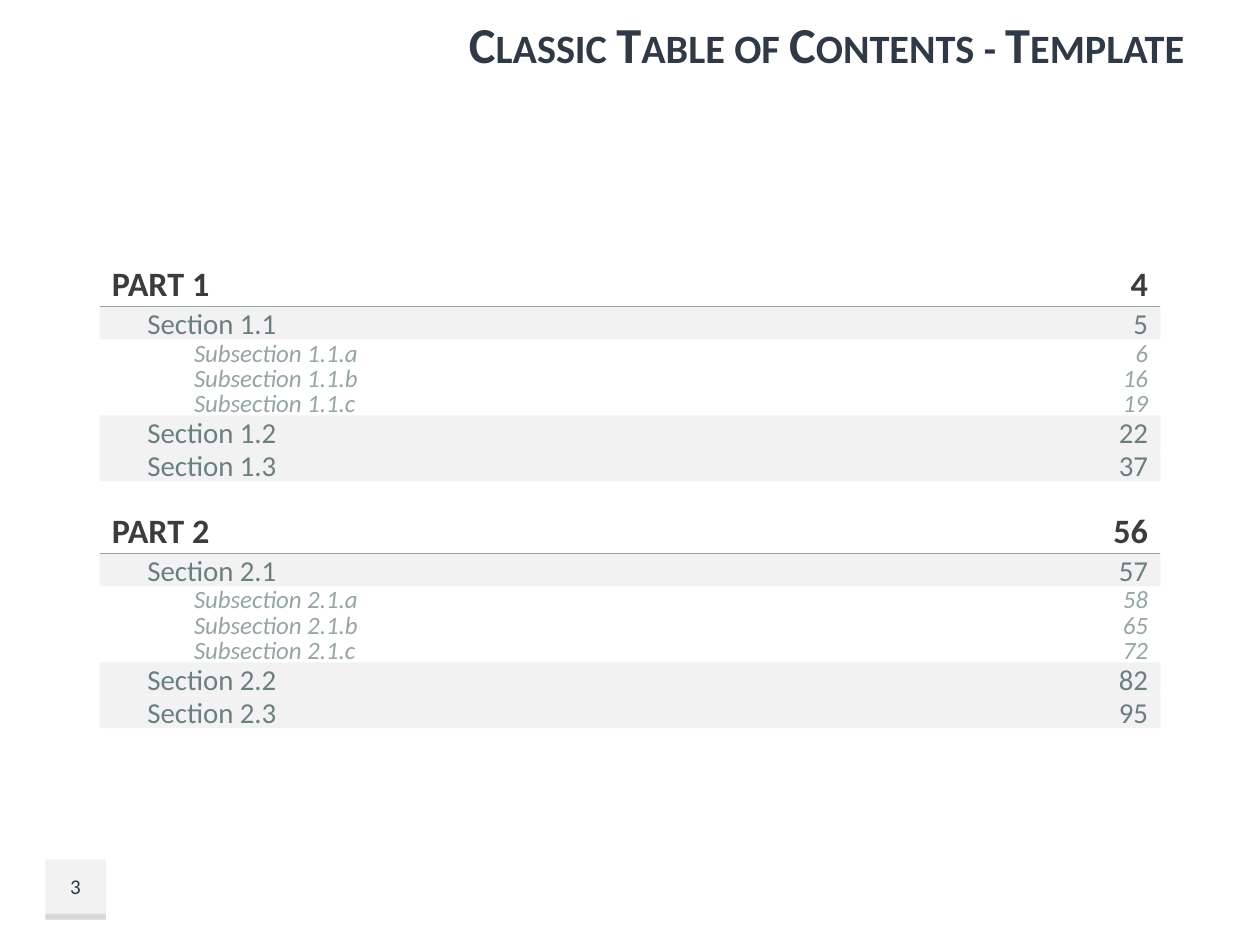
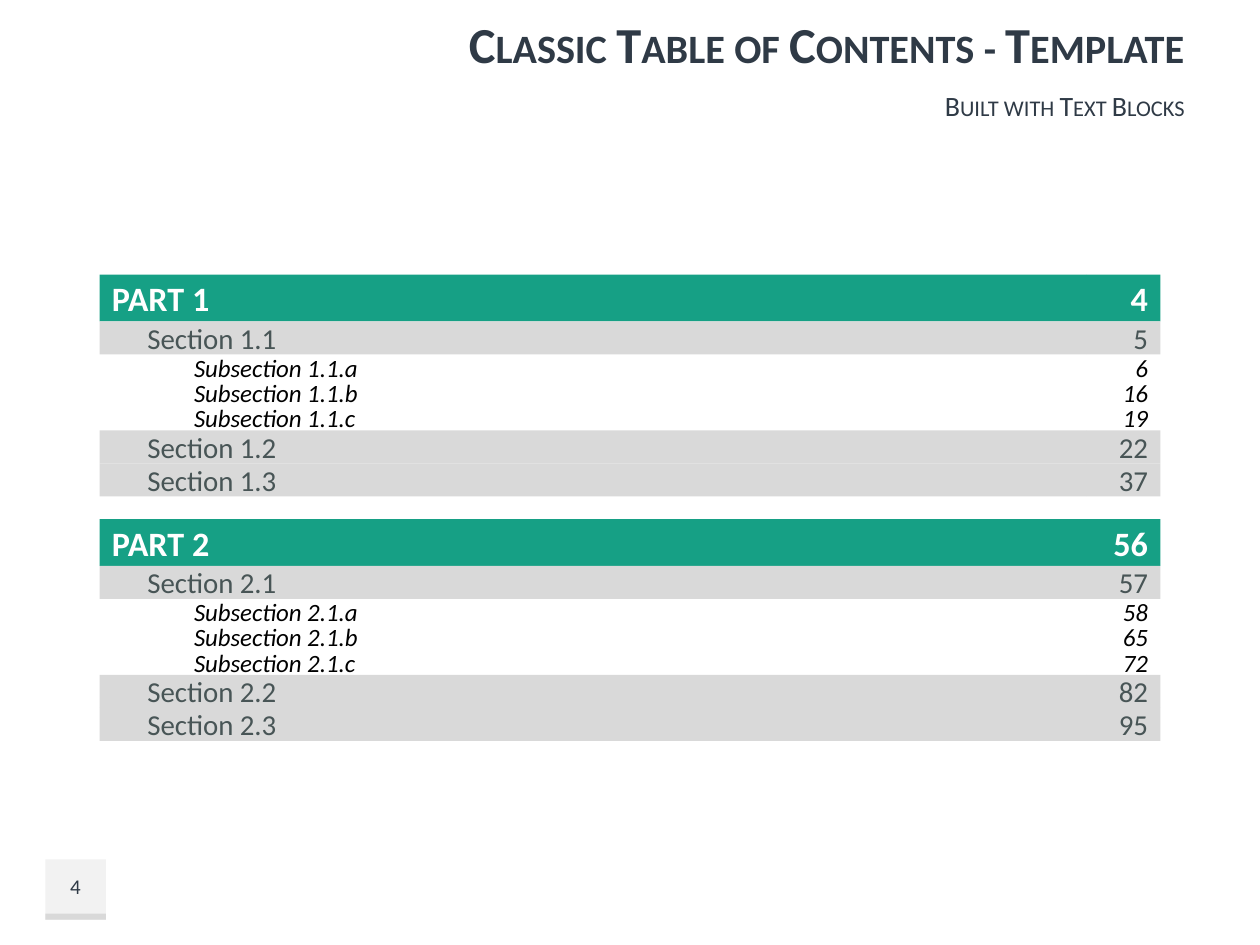
from dataclasses import dataclass
from lxml import etree
from pptx import Presentation, util as u
from pptx.dml import color
from pptx.enum import shapes, text
from pptx.oxml import ns


@dataclass(frozen=True)
class Theme:
    font: str = "Calibri"
    ink: str = "2F3A46"
    pale: str = "F2F2F2"
    grey: str = "D9D9D9"
    rule: str = "95A5A6"
    title: float = 28.8
    sub: float = 16
    page: float = 12


@dataclass(frozen=True)
class Level:
    rows: int
    inset: float
    size: float
    bold: bool = False
    slant: bool = False


@dataclass(frozen=True)
class Look:
    inks: tuple
    fills: tuple
    ruled: bool


THEME = Theme()
LEVELS = (
    Level(37, 0.1, 19.5, bold=True),
    Level(26, 0.38, 16.5),
    Level(20, 0.75, 14.2, slant=True),
)
PLAIN = Look(("3C3C3C", "6C7F80", "95A5A6"), (None, THEME.pale, None), True)
BLOCKS = Look(("FFFFFF", "485556", "000000"), ("16A085", THEME.grey, None), False)

WIDTH, HEIGHT = u.Inches(10), u.Inches(7.5)
COLS, ROWS = 100, 75
LEFT, RIGHT, MID = text.PP_ALIGN.LEFT, text.PP_ALIGN.RIGHT, text.PP_ALIGN.CENTER

TITLE = (31.9, 0, 63.1, 9.9)
BADGE = (3.6, 68.2, 4.8, 4.8)
PARTS = (
    (("PART 1", 4, 0), ("Section 1.1", 5, 1),
     ("Subsection 1.1.a", 6, 2), ("Subsection 1.1.b", 16, 2),
     ("Subsection 1.1.c", 19, 2), ("Section 1.2", 22, 1),
     ("Section 1.3", 37, 1)),
    (("PART 2", 56, 0), ("Section 2.1", 57, 1),
     ("Subsection 2.1.a", 58, 2), ("Subsection 2.1.b", 65, 2),
     ("Subsection 2.1.c", 72, 2), ("Section 2.2", 82, 1),
     ("Section 2.3", 95, 1)),
)


def grid(box):
    x, y, w, h = box
    return [round(v) for v in (x * WIDTH / COLS, y * HEIGHT / ROWS,
                               w * WIDTH / COLS, h * HEIGHT / ROWS)]


def rect(slide, box, fill):
    shape = slide.shapes.add_shape(shapes.MSO_SHAPE.RECTANGLE, *grid(box))
    shape.shadow.inherit = False
    shape.fill.solid()
    shape.fill.fore_color.rgb = color.RGBColor.from_string(fill)
    shape.line.fill.background()
    return shape


def label(slide, box, words, size, ink, align, fill=None, bold=False,
          slant=False, caps=False, inset=0.1, lead=0):
    shape = rect(slide, box, fill) if fill else slide.shapes.add_textbox(*grid(box))
    frame = shape.text_frame
    frame.word_wrap = True
    frame.auto_size = text.MSO_AUTO_SIZE.NONE
    frame.vertical_anchor = text.MSO_ANCHOR.MIDDLE
    frame.margin_left = u.Inches(inset)
    para = frame.paragraphs[0]
    para.text = words
    para.alignment = align
    if lead:
        para.space_before = u.Pt(lead)
    font = para.font
    font.name, font.size = THEME.font, u.Pt(size)
    font.bold, font.italic = bold, slant
    font.color.rgb = color.RGBColor.from_string(ink)
    if caps:
        para._p.pPr.find(ns.qn("a:defRPr")).set("cap", "small")


def rule(slide, x, y, w):
    left, top, wide, _ = grid((x, y, w, 0))
    line = slide.shapes.add_connector(shapes.MSO_CONNECTOR.STRAIGHT,
                                      left, top, left + wide, top)
    line.line.color.rgb = color.RGBColor.from_string(THEME.rule)
    line.line.width = u.Pt(0.75)
    etree.SubElement(line._element.spPr, ns.qn("a:effectLst"))


def header(slide, box, title, sub):
    x, y, w, h = box
    top = h * 0.69
    label(slide, (x, y, w, top), title, THEME.title, THEME.ink, RIGHT,
          bold=True, caps=True)
    if sub:
        label(slide, (x, y + top, w, h - top), sub, THEME.sub, THEME.ink,
              RIGHT, caps=True, lead=THEME.sub * 0.2)


def badge(slide, box, page):
    x, y, w, h = box
    top = h * 0.9
    rect(slide, box, THEME.pale)
    rect(slide, (x, y + top, w, h - top), THEME.grey)
    label(slide, (x, y, w, top), str(page), THEME.page, THEME.ink, MID)


def part(slide, box, items, look):
    x, y, w, h = box
    name = w * 0.93
    unit = h / sum(LEVELS[rank].rows for *_, rank in items)
    for words, page, rank in items:
        level = LEVELS[rank]
        high = level.rows * unit
        style = dict(size=level.size, ink=look.inks[rank], fill=look.fills[rank],
                     bold=level.bold, slant=level.slant)
        label(slide, (x, y, name, high), words, align=LEFT,
              inset=level.inset, **style)
        label(slide, (x + name, y, w - name, high), str(page), align=RIGHT,
              inset=0.07, **style)
        y += high
    if look.ruled:
        rule(slide, x, box[1] + LEVELS[0].rows * unit, w)


def contents(deck, page, look, top, pitch, sub=None):
    slide = deck.slides.add_slide(deck.slide_layouts[6])
    badge(slide, BADGE, page)
    header(slide, TITLE, "Classic Table of Contents - Template", sub)
    for step, items in enumerate(PARTS):
        part(slide, (7.9, top + step * pitch, 84.2, 17.6), items, look)


deck = Presentation()
deck.slide_width, deck.slide_height = WIDTH, HEIGHT
contents(deck, 3, PLAIN, 20.6, 19.6)
contents(deck, 4, BLOCKS, 21.8, 19.4, "Built with Text Blocks")
deck.save("out.pptx")
